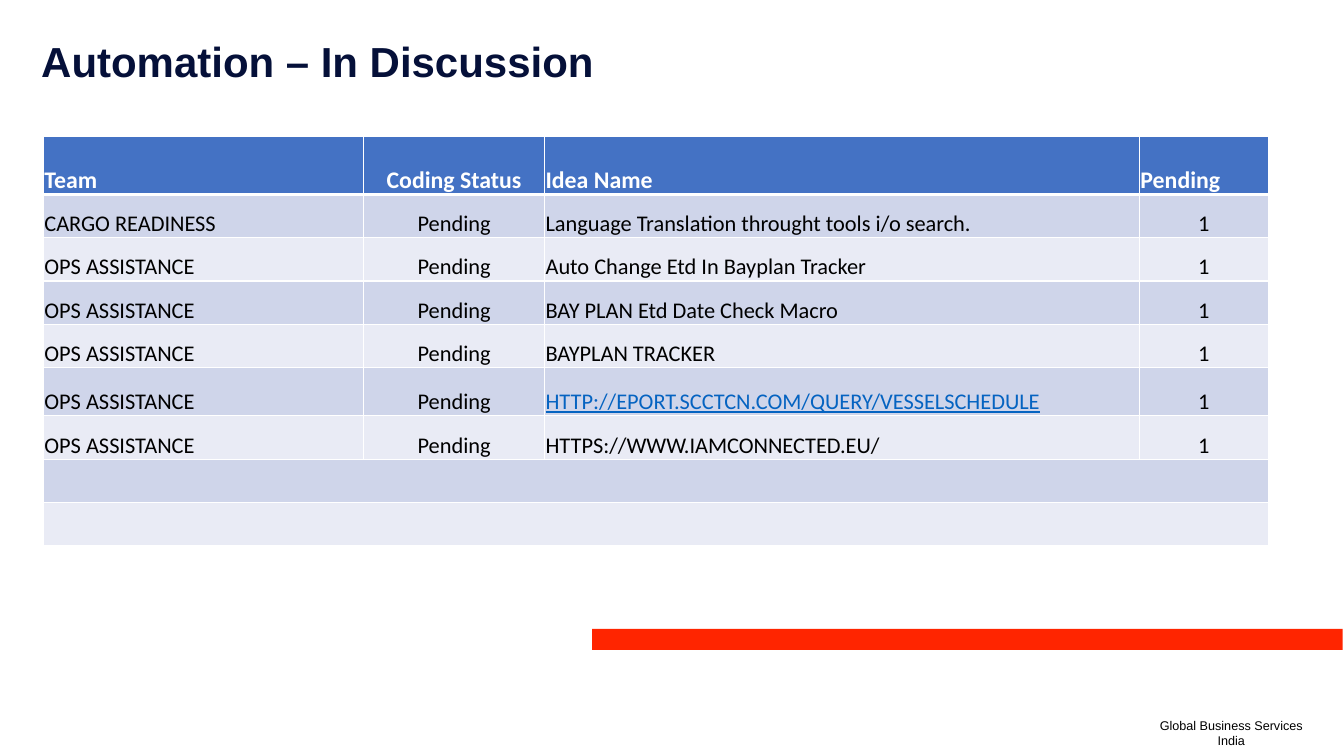
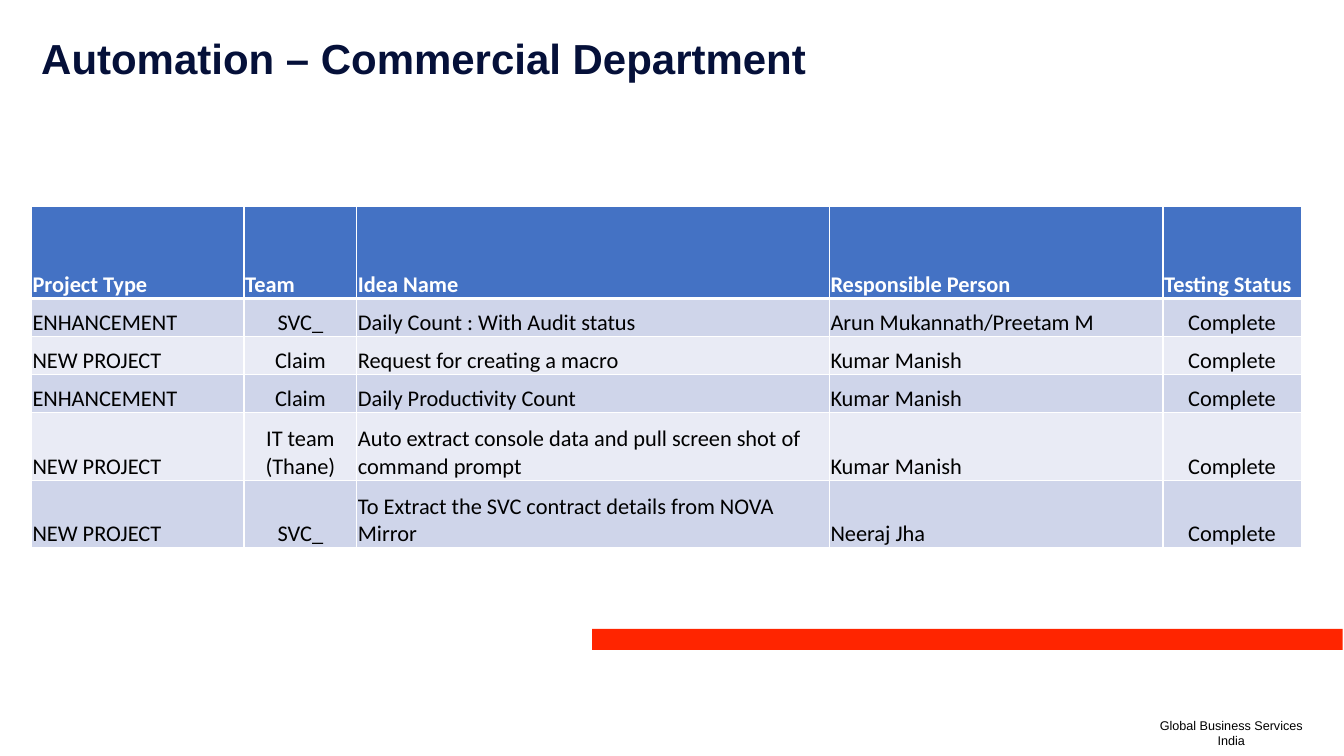
from lxml.etree import SubElement
from pptx import Presentation
from pptx.dml.color import RGBColor
from pptx.enum.shapes import MSO_SHAPE as Shape
from pptx.enum.text import MSO_ANCHOR as Anchor, PP_ALIGN as Align
from pptx.oxml.ns import qn
from pptx.util import Cm, Pt

COLORS = {
    "title": "051039",
    "bar": "FF2500",
    "header": "4472C4",
    "odd": "CFD5EA",
    "even": "E9EBF5",
    "white": "FFFFFF",
    "text": "000000",
    "link": "0563C1",
}
ALIGNS = {"l": Align.LEFT, "c": Align.CENTER}
BODY_SIZE = 16

DISCUSSION_ROWS = [
    ["Team", "Coding Status", "Idea Name", "Pending"],
    ["CARGO READINESS", "Pending", "Language Translation throught tools i/o search.", "1"],
    ["OPS ASSISTANCE", "Pending", "Auto Change Etd In Bayplan Tracker", "1"],
    ["OPS ASSISTANCE", "Pending", "BAY PLAN Etd Date Check Macro", "1"],
    ["OPS ASSISTANCE", "Pending", "BAYPLAN TRACKER", "1"],
    ["OPS ASSISTANCE", "Pending", "HTTP://EPORT.SCCTCN.COM/QUERY/VESSELSCHEDULE", "1"],
    ["OPS ASSISTANCE", "Pending", "HTTPS://WWW.IAMCONNECTED.EU/", "1"],
    [],
    [],
]
COMMERCIAL_ROWS = [
    ["Project Type", "Team", "Idea Name", "Responsible Person", "Testing Status"],
    ["ENHANCEMENT", "SVC_", "Daily Count : With Audit status", "Arun Mukannath/Preetam M", "Complete"],
    ["NEW PROJECT", "Claim", "Request for creating a macro", "Kumar Manish", "Complete"],
    ["ENHANCEMENT", "Claim", "Daily Productivity Count", "Kumar Manish", "Complete"],
    ["NEW PROJECT", "IT team (Thane)",
     "Auto extract console data and pull screen shot of command prompt", "Kumar Manish", "Complete"],
    ["NEW PROJECT", "SVC_",
     "To Extract the SVC contract details from NOVA Mirror", "Neeraj Jha", "Complete"],
]


def color(name):
    return RGBColor.from_string(COLORS[name])


def add_run(para, text, size, color_name, font_name="Arial", bold=False):
    run = para.add_run()
    run.text = text
    run.font.name = font_name
    run.font.size = Pt(size)
    run.font.bold = bold
    run.font.color.rgb = color(color_name)
    return run


def add_text(page, place, lines, size, color_name, bold=False, align="l", spacing=1.0):
    box = page.shapes.add_textbox(*map(Cm, place))
    frame = box.text_frame
    frame.word_wrap = True
    for index, line in enumerate(lines):
        para = frame.add_paragraph() if index else frame.paragraphs[0]
        para.alignment = ALIGNS[align]
        para.line_spacing = spacing
        add_run(para, line, size, color_name, bold=bold)


def add_page(deck, title, title_top):
    page = deck.slides.add_slide(deck.slide_layouts[6])
    bar = page.shapes.add_shape(Shape.RECTANGLE, Cm(14.92), Cm(15.85), Cm(18.92), Cm(0.53))
    bar.shadow.inherit = False
    bar.fill.solid()
    bar.fill.fore_color.rgb = color("bar")
    bar.line.fill.background()
    add_text(page, (28.96, 17.96, 4.14, 1.02), ["Global Business Services", "India"],
             9, "text", align="c")
    add_text(page, (0.79, title_top, 32, 2.46), [title], 30, "title", bold=True, spacing=0.9)
    return page


def set_borders(cell, top, bottom):
    properties = cell._tc.get_or_add_tcPr()
    for side, width in (("L", 1), ("R", 1), ("T", top), ("B", bottom)):
        line = SubElement(properties, qn(f"a:ln{side}"), w=str(Pt(width)))
        fill = SubElement(line, qn("a:solidFill"))
        SubElement(fill, qn("a:srgbClr"), val=COLORS["white"])


def style_cell(cell, row_index):
    set_borders(cell, 3 if row_index == 1 else 1, 3 if row_index == 0 else 1)
    cell.fill.solid()
    band = "odd" if row_index % 2 else "even"
    cell.fill.fore_color.rgb = color(band if row_index else "header")
    cell.vertical_anchor = Anchor.BOTTOM
    cell.margin_left = cell.margin_right = cell.margin_top = Cm(0.03)
    cell.margin_bottom = 0


def fill_cell(cell, text, is_header, header_size, align):
    para = cell.text_frame.paragraphs[0]
    para.alignment = ALIGNS[align]
    is_link = text.startswith("HTTP:")
    color_name = "white" if is_header else "link" if is_link else "text"
    run = add_run(para, text, header_size if is_header else BODY_SIZE, color_name,
                  "Calibri", is_header)
    if is_link:
        run.font.underline = True


def add_grid(page, left, top, widths, heights, rows, header_aligns, body_aligns, header_size):
    frame = page.shapes.add_table(len(rows), len(widths), Cm(left), Cm(top),
                                  Cm(sum(widths)), Cm(sum(heights)))
    table = frame.table
    for column, width in zip(table.columns, widths):
        column.width = Cm(width)
    for row_index, (texts, height) in enumerate(zip(rows, heights)):
        row = table.rows[row_index]
        row.height = Cm(height)
        cells = list(row.cells)
        for cell in cells:
            style_cell(cell, row_index)
        if not texts:
            cells[0].merge(cells[-1])
        aligns = body_aligns if row_index else header_aligns
        for cell, text, align in zip(cells, texts, aligns):
            fill_cell(cell, text, row_index == 0, header_size, align)


def main():
    deck = Presentation()
    deck.slide_width, deck.slide_height = Cm(33.87), Cm(19.05)

    page = add_page(deck, "Automation – In Discussion", 0.91)
    add_grid(page, 1.09, 3.43, [8.08, 4.55, 14.99, 3.25],
             [1.47] + [1.09] * 4 + [1.22] + [1.09] * 3,
             DISCUSSION_ROWS, "lcll", "lclc", 17)

    page = add_page(deck, "Automation – Commercial Department", 0.84)
    add_grid(page, 0.79, 5.21, [5.36, 2.84, 11.91, 8.41, 3.48],
             [2.31] + [0.96] * 3 + [1.7] * 2,
             COMMERCIAL_ROWS, "lllll", "lcllc", 16)

    deck.save("out.pptx")


if __name__ == "__main__":
    main()
